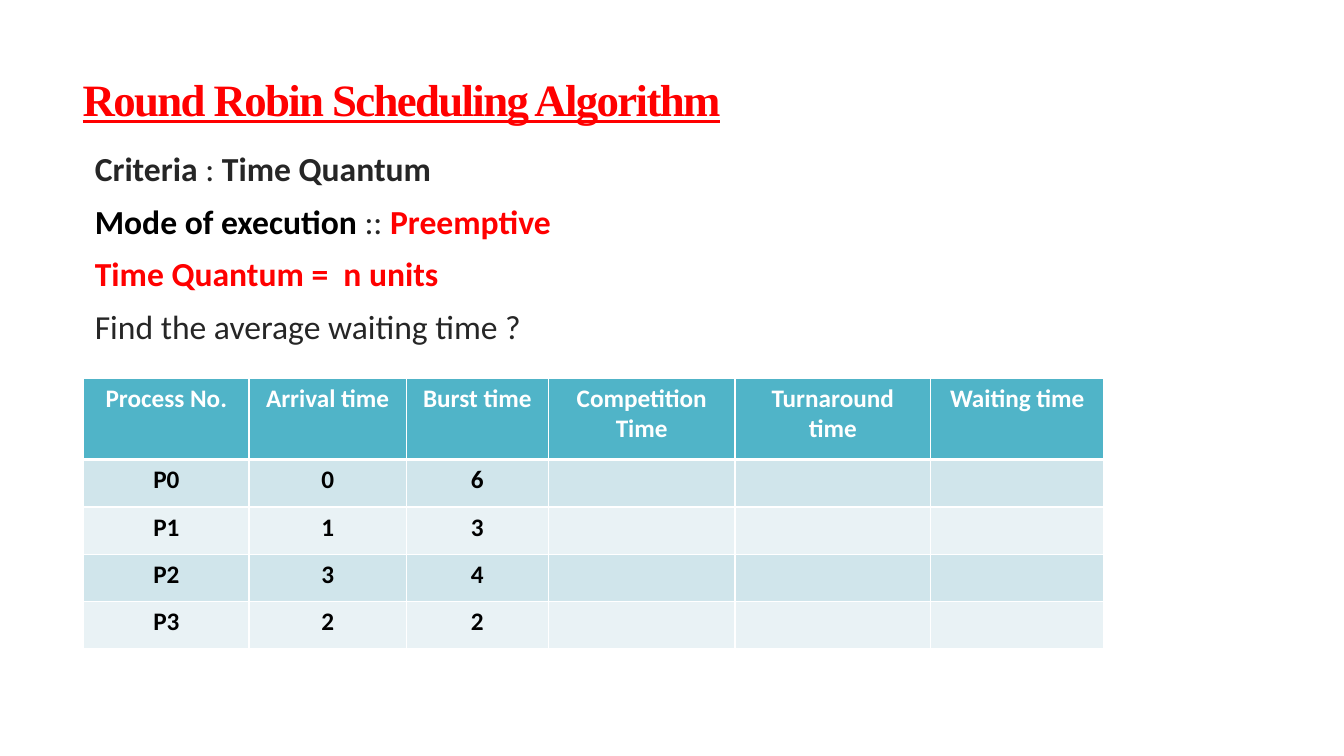
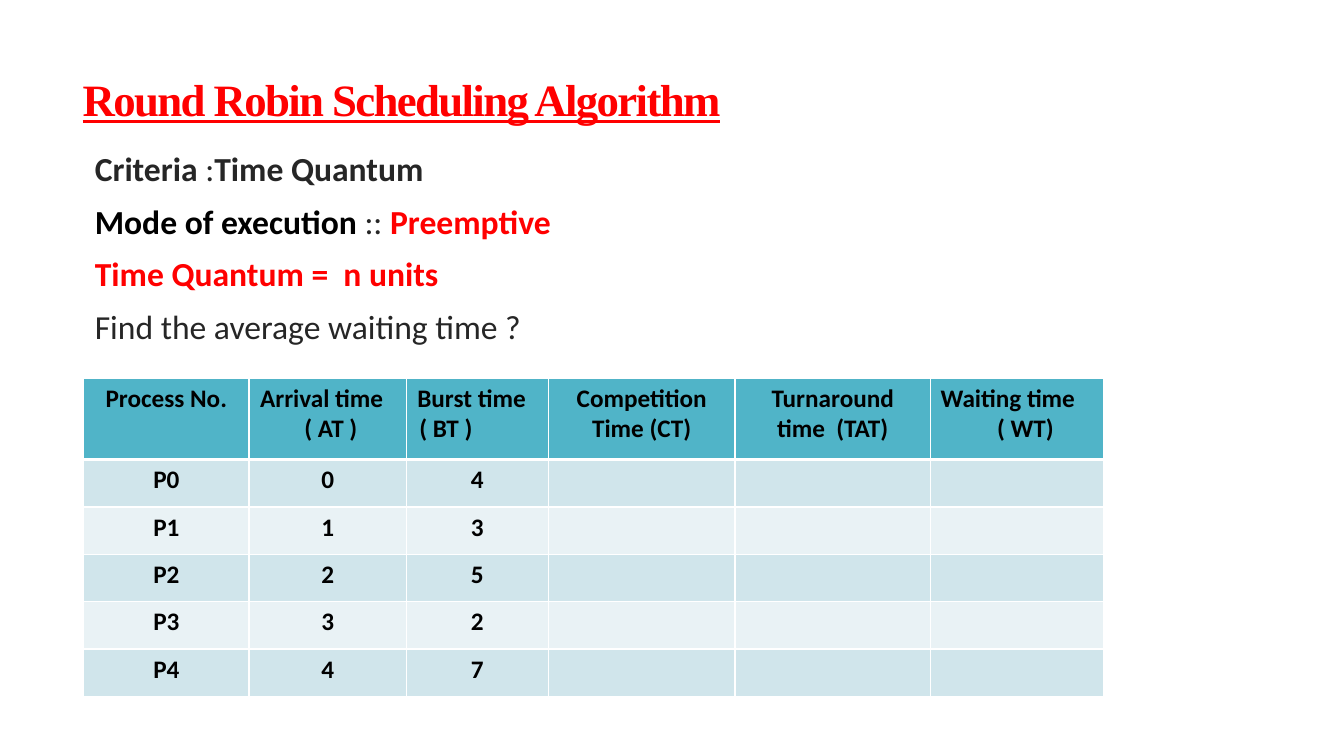
from lxml import etree
from pptx import Presentation
from pptx.dml.color import RGBColor
from pptx.enum.text import MSO_ANCHOR, MSO_AUTO_SIZE, PP_ALIGN
from pptx.oxml.ns import qn
from pptx.util import Pt

PX = 9144  # 100 px to the inch
CENTER, LEFT = PP_ALIGN.CENTER, PP_ALIGN.LEFT
MIDDLE, TOP = MSO_ANCHOR.MIDDLE, MSO_ANCHOR.TOP
NO_FIT = MSO_AUTO_SIZE.NONE

COLORS = {
    "white": "FFFFFF",
    "black": "000000",
    "ink": "262626",
    "red": "FF0000",
    "header": "50B4C8",
    "odd_row": "D0E5EB",
    "even_row": "E9F2F5",
}
BODY_FONT, TITLE_FONT = "Calibri", "Times New Roman"
LINE_SPACING = 0.85

TITLE = "Round Robin Scheduling Algorithm"
TITLE_AREA = (72, 55, 1178, 94)
BODY_AREA = (74, 148, 1176, 547)
TABLE_LEFT, TABLE_TOP = 83, 375
COLUMN_WIDTHS = (164, 156, 141, 185, 194, 172)
HEADER_HEIGHT, ROW_HEIGHT = 81, 47
THIN, THICK = 1, 3

# A header is a centred string, or left-aligned lines as (text, indent in px).
PLAIN_HEADERS = ("Process No.", "Arrival time", "Burst time",
                 "Competition Time", "Turnaround time", "Waiting time")
SHORT_HEADERS = (
    "Process No.",
    (("Arrival time", 1), ("( AT )", 45)),
    (("Burst time", 1), ("( BT )", 3)),
    "Competition Time (CT)",
    "Turnaround time  (TAT)",
    (("Waiting time", 0), ("( WT)", 56)),
)


def place(box, area):
    box.left, box.top, box.width, box.height = (length * PX for length in area)


def add_span(para, text, size, color, bold=True, font=BODY_FONT):
    span = para.add_run()
    span.text = text
    span.font.name = font
    span.font.size = Pt(size)
    span.font.bold = bold
    span.font.color.rgb = RGBColor.from_string(COLORS[color])
    return span


def indent(para, px):
    """Indent the whole paragraph, with no hanging first line."""
    properties = para._p.get_or_add_pPr()
    properties.set("marL", str(px * PX))
    properties.set("indent", "0")
    return properties


def paragraphs(frame, count):
    return [frame.paragraphs[0]] + [frame.add_paragraph() for _ in range(count - 1)]


def fill_title(box):
    frame = box.text_frame
    frame.auto_size = NO_FIT
    frame.vertical_anchor = MIDDLE
    para = frame.paragraphs[0]
    para.alignment = LEFT
    para.line_spacing = LINE_SPACING
    span = add_span(para, TITLE, 32, "red", font=TITLE_FONT)
    span.font.underline = True
    span._r.get_or_add_rPr().set("spc", "-120")


def fill_body(box, lines):
    frame = box.text_frame
    frame.auto_size = NO_FIT
    frame.vertical_anchor = TOP
    for para, spans in zip(paragraphs(frame, len(lines)), lines):
        para.line_spacing = LINE_SPACING
        para.space_before = Pt(13)
        etree.SubElement(indent(para, 10), qn("a:buNone"))
        for text, color, bold in spans:
            add_span(para, text, 24, color, bold)


def set_borders(cell, top, bottom):
    """Draw white borders, thin at the sides."""
    properties = cell._tc.get_or_add_tcPr()
    for side, width in (("L", THIN), ("R", THIN), ("T", top), ("B", bottom)):
        line = etree.SubElement(properties, qn("a:ln" + side), w=str(Pt(width)))
        fill = etree.SubElement(line, qn("a:solidFill"))
        etree.SubElement(fill, qn("a:srgbClr"), val=COLORS["white"])


def style_cell(cell, color, top=THIN, bottom=THIN):
    set_borders(cell, top, bottom)
    cell.fill.solid()
    cell.fill.fore_color.rgb = RGBColor.from_string(COLORS[color])


def write_cell(cell, content, color):
    if isinstance(content, str):
        para = cell.text_frame.paragraphs[0]
        para.alignment = CENTER
        add_span(para, content, 18, color)
        return
    for para, (text, px) in zip(paragraphs(cell.text_frame, len(content)), content):
        para.alignment = LEFT
        indent(para, px)
        add_span(para, text, 18, color)


def add_process_table(page, headers, header_color, times):
    """List the processes; the last three columns stay open for answers."""
    height = HEADER_HEIGHT + ROW_HEIGHT * len(times)
    table = page.shapes.add_table(
        len(times) + 1, len(headers), TABLE_LEFT * PX, TABLE_TOP * PX,
        sum(COLUMN_WIDTHS) * PX, height * PX).table
    for column, width in zip(table.columns, COLUMN_WIDTHS):
        column.width = width * PX
    for index, row in enumerate(table.rows):
        row.height = (ROW_HEIGHT if index else HEADER_HEIGHT) * PX

    for cell, header in zip(table.rows[0].cells, headers):
        style_cell(cell, "header", bottom=THICK)
        write_cell(cell, header, header_color)
    for index, (arrival, burst) in enumerate(times):
        cells = list(table.rows[index + 1].cells)
        for cell in cells:
            style_cell(cell, "even_row" if index % 2 else "odd_row",
                       top=THIN if index else THICK)
        for cell, value in zip(cells, (f"P{index}", str(arrival), str(burst))):
            write_cell(cell, value, "black")


def add_exercise(deck, layout, separator, headers, header_color, times):
    page = deck.slides.add_slide(layout)
    title, body = page.placeholders
    place(title, TITLE_AREA)
    place(body, BODY_AREA)
    fill_title(title)
    fill_body(body, (
        (("Criteria", "ink", True), (separator, "ink", False),
         ("Time Quantum", "ink", True)),
        (("Mode of execution ", "black", True), (":: ", "ink", False),
         ("Preemptive", "red", True)),
        (("Time Quantum =  n units", "red", True),),
        (("Find the average waiting time ?", "ink", False),),
    ))
    add_process_table(page, headers, header_color, times)


def main():
    deck = Presentation()
    deck.slide_width, deck.slide_height = 1333 * PX, 750 * PX
    layout = deck.slide_layouts.get_by_name("Title and Content")
    add_exercise(deck, layout, " : ", PLAIN_HEADERS, "white",
                 ((0, 6), (1, 3), (3, 4), (2, 2)))
    add_exercise(deck, layout, " :", SHORT_HEADERS, "black",
                 ((0, 4), (1, 3), (2, 5), (3, 2), (4, 7)))
    deck.save("out.pptx")


if __name__ == "__main__":
    main()
